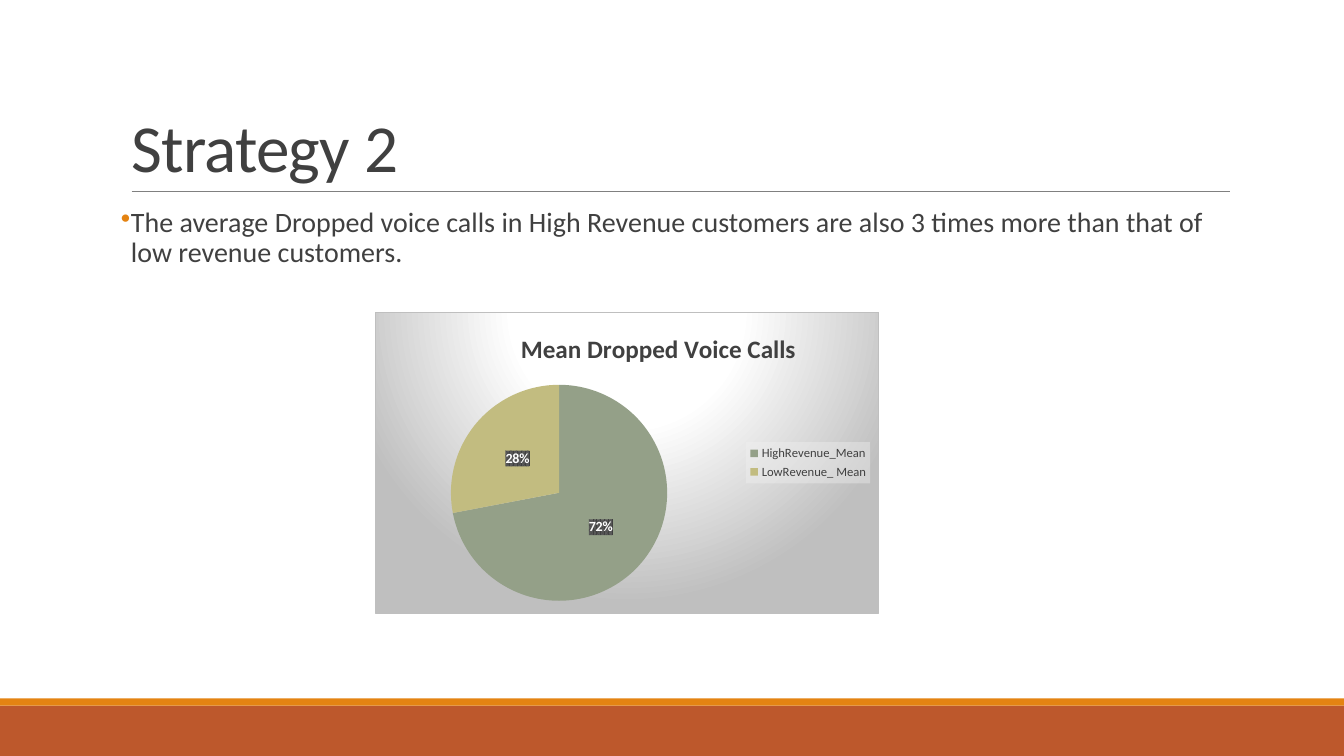
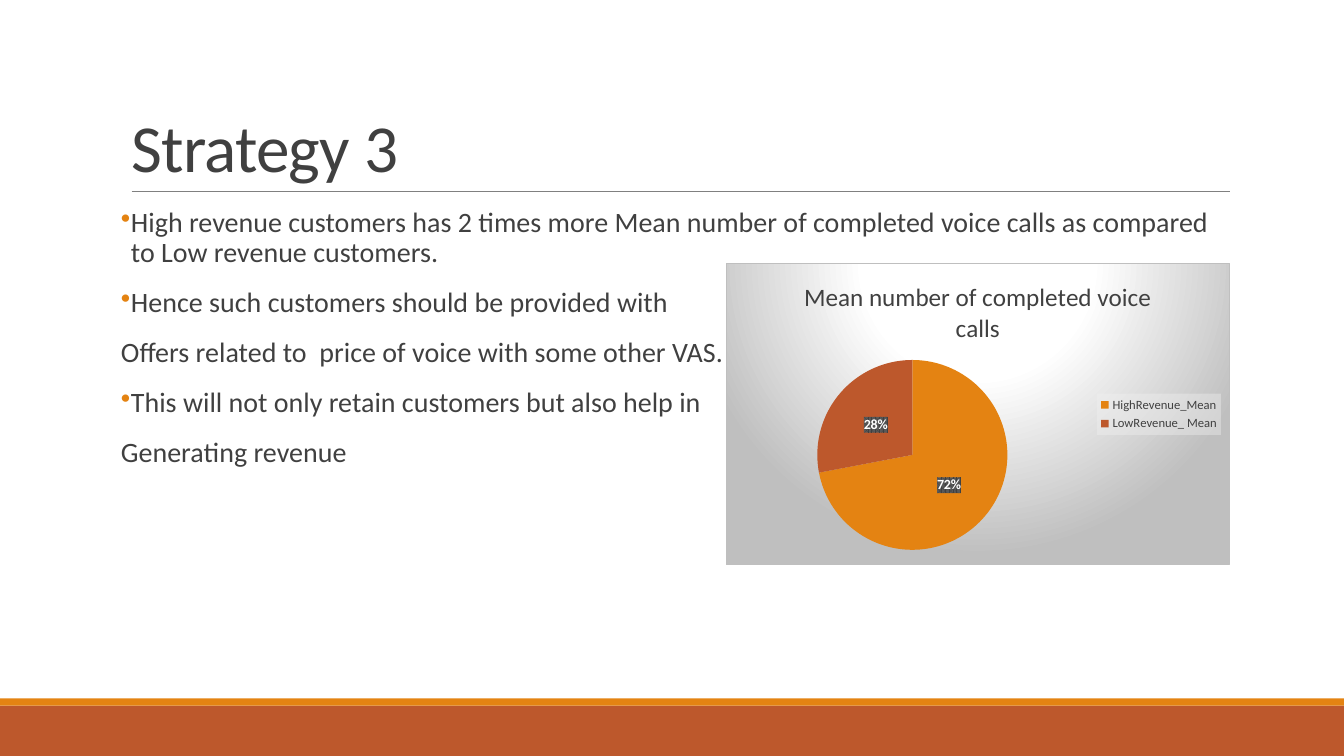
import pptx
import pptx.chart.data
import pptx.dml.color
import pptx.enum.chart
import pptx.enum.shapes
import pptx.enum.text
import pptx.oxml
import pptx.oxml.ns
import pptx.util
from pptx.util import Cm, Pt

FONT = "Calibri"
COLORS = {
    "text": "404040", "orange": "E48312", "rust": "BD582C", "rule": "808080",
    "sage": "94A088", "sand": "C2BC80", "white": "FFFFFF", "silver": "BFBFBF",
    "legend": "F2F2F2", "label": "595959",
}
SLIDE_WIDTH, SLIDE_HEIGHT = Cm(33.87), Cm(19.05)
LEFT, WIDTH = Cm(3.05), Cm(27.94)
CHART_WIDTH, CHART_HEIGHT = Cm(12.7), Cm(7.62)
HANGING = Cm(0.25)
BANDS = [("rust", Cm(17.78), Cm(1.27)), ("orange", Cm(17.6), Cm(0.18))]
SHARES = {"HighRevenue_Mean": 72, "LowRevenue_ Mean": 28}

# Paragraphs are (bulleted, text); layouts are fractions of the chart.
SLIDES = [
    {
        "title": "Strategy 2",
        "body": [
            (True, "The average Dropped voice calls in High Revenue customers are also "
                   "3 times more than that of low revenue customers."),
        ],
        "chart": {
            "title": "Mean Dropped Voice Calls", "bold": True,
            "left": Cm(9.45), "top": Cm(7.85), "colors": ["sage", "sand"],
            "title_layout": {"x": 0.28, "y": 0.05},
            "pie_layout": {"x": 0.15, "y": 0.24, "w": 0.43, "h": 0.72},
        },
    },
    {
        "title": "Strategy 3",
        "body": [
            (True, "High revenue customers has 2 times more Mean number of completed "
                   "voice calls as compared to Low revenue customers."),
            (True, "Hence such customers should be provided with"),
            (False, "Offers related to  price of voice with some other VAS."),
            (True, "This will not only retain customers but also help in"),
            (False, "Generating revenue"),
        ],
        "chart": {
            "title": "Mean number of completed voice calls", "bold": False,
            "left": Cm(18.29), "top": Cm(6.63), "colors": ["orange", "rust"],
            "title_layout": None,
            "pie_layout": {"x": 0.18, "y": 0.32, "w": 0.38, "h": 0.63},
        },
    },
]


def rgb(name):
    return pptx.dml.color.RGBColor.from_string(COLORS[name])


def xml(text):
    """Parse a fragment that uses the a: and c: prefixes."""
    tag, rest = text.split(">", 1)
    closing = "/" if tag.endswith("/") else ""
    declared = pptx.oxml.ns.nsdecls("a", "c")
    return pptx.oxml.parse_xml(f"{tag.rstrip('/')} {declared}{closing}>{rest}")


def color_xml(name, extra=""):
    return f'<a:srgbClr val="{COLORS[name]}">{extra}</a:srgbClr>'


def style_font(font, size, color="text", bold=False):
    font.name, font.size, font.bold = FONT, Pt(size), bold
    font.color.rgb = rgb(color)


def fill_part(element, fill):
    """Give a chart part its shape properties, which stand before its text properties."""
    text_properties = element.find(pptx.oxml.ns.qn("c:txPr"))
    text_properties.addprevious(xml(f"<c:spPr>{fill}</c:spPr>"))


def place_part(element, index, layout):
    """Set the manual layout of a chart part as its child number index."""
    for old in element.findall(pptx.oxml.ns.qn("c:layout")):
        element.remove(old)
    target = '<c:layoutTarget val="inner"/>' if "w" in layout else ""
    modes = "".join(f'<c:{key}Mode val="edge"/>' for key in "xy")
    sizes = "".join(f'<c:{key} val="{value}"/>' for key, value in layout.items())
    element.insert(index, xml(
        f"<c:layout><c:manualLayout>{target}{modes}{sizes}</c:manualLayout></c:layout>"))


def add_frame(slide):
    """Draw the bottom bands and the rule under the title."""
    for color, top, height in BANDS:
        band = slide.shapes.add_shape(
            pptx.enum.shapes.MSO_SHAPE.RECTANGLE, 0, top, SLIDE_WIDTH, height)
        band.shadow.inherit = False
        band.fill.solid()
        band.fill.fore_color.rgb = rgb(color)
        band.line.fill.background()
    rule = slide.shapes.add_connector(
        pptx.enum.shapes.MSO_CONNECTOR.STRAIGHT, Cm(3.32), Cm(4.83), Cm(31), Cm(4.83))
    rule.line.color.rgb = rgb("rule")
    rule.line.width = Pt(0.5)
    rule._element.spPr.append(xml("<a:effectLst/>"))


def set_title(slide, text):
    title = slide.shapes.title
    title.left, title.top, title.width, title.height = LEFT, Cm(0.79), WIDTH, Cm(4.04)
    frame = title.text_frame
    frame.text = text
    frame.vertical_anchor = pptx.enum.text.MSO_ANCHOR.BOTTOM
    para = frame.paragraphs[0]
    para.alignment = pptx.enum.text.PP_ALIGN.LEFT
    para.line_spacing = 0.85
    span = para.runs[0]
    style_font(span.font, 48)
    span.font._element.set("spc", "-50")


def add_body(slide, lines):
    box = slide.shapes.add_textbox(LEFT, Cm(5.13), WIDTH, Cm(11.18))
    frame = box.text_frame
    frame.word_wrap = True
    frame.margin_left = frame.margin_right = 0
    frame.text = "\n".join(text for bulleted, text in lines)
    for para, (bulleted, text) in zip(frame.paragraphs, lines):
        para.line_spacing = 0.9
        para.space_before, para.space_after = Pt(12), Pt(2)
        style_font(para.runs[0].font, 20)
        if bulleted:
            properties = para._p.get_or_add_pPr()
            properties.set("marL", str(HANGING))
            properties.set("indent", str(-HANGING))
            properties.append(xml(f"<a:buClr>{color_xml('orange')}</a:buClr>"))
            properties.append(xml('<a:buChar char="•"/>'))


def add_pie(slide, pie):
    data = pptx.chart.data.CategoryChartData()
    data.categories = list(SHARES)
    data.add_series("Series 1", list(SHARES.values()))
    chart = slide.shapes.add_chart(
        pptx.enum.chart.XL_CHART_TYPE.PIE, pie["left"], pie["top"],
        CHART_WIDTH, CHART_HEIGHT, data).chart
    chart.font.name, chart.font.size = FONT, Pt(10)
    stops = "".join(
        f'<a:gs pos="{percent * 1000}">{color_xml(color)}</a:gs>'
        for percent, color in [(0, "white"), (39, "white"), (100, "silver")])
    fill_part(chart._chartSpace, (
        f'<a:gradFill><a:gsLst>{stops}</a:gsLst><a:path path="circle">'
        '<a:fillToRect l="50000" t="-80000" r="50000" b="180000"/></a:path></a:gradFill>'
        f'<a:ln w="{Pt(0.75)}"><a:solidFill>{color_xml("silver")}</a:solidFill></a:ln>'))

    chart.has_title = True
    frame = chart.chart_title.text_frame
    frame.text = pie["title"]
    style_font(frame.paragraphs[0].runs[0].font, 18, bold=pie["bold"])
    if pie["title_layout"]:
        place_part(chart.chart_title._element, 1, pie["title_layout"])
    place_part(chart._chartSpace.chart.plotArea, 0, pie["pie_layout"])

    chart.has_legend = True
    legend = chart.legend
    legend.position = pptx.enum.chart.XL_LEGEND_POSITION.RIGHT
    legend.include_in_layout = False
    style_font(legend.font, 9)
    alpha = '<a:alpha val="39000"/>'
    fill_part(legend._element, f"<a:solidFill>{color_xml('legend', alpha)}</a:solidFill>")

    plot = chart.plots[0]
    plot.vary_by_categories = True
    series = plot.series[0]
    for index, color in enumerate(pie["colors"]):
        fill = series.points[index].format.fill
        fill.solid()
        fill.fore_color.rgb = rgb(color)
    labels = series.data_labels
    labels.show_percentage, labels.show_value = True, False
    labels.number_format, labels.number_format_is_linked = "0%", False
    labels.position = pptx.enum.chart.XL_LABEL_POSITION.CENTER
    style_font(labels.font, 10, "white", bold=True)
    fill_part(labels._element, (
        f'<a:pattFill prst="pct75"><a:fgClr>{color_xml("text")}</a:fgClr>'
        f'<a:bgClr>{color_xml("label")}</a:bgClr></a:pattFill>'))


def main():
    deck = pptx.Presentation()
    deck.slide_width, deck.slide_height = SLIDE_WIDTH, SLIDE_HEIGHT
    title_only = deck.slide_layouts[5]
    for content in SLIDES:
        slide = deck.slides.add_slide(title_only)
        add_frame(slide)
        set_title(slide, content["title"])
        add_body(slide, content["body"])
        add_pie(slide, content["chart"])
    deck.save("out.pptx")


if __name__ == "__main__":
    main()
